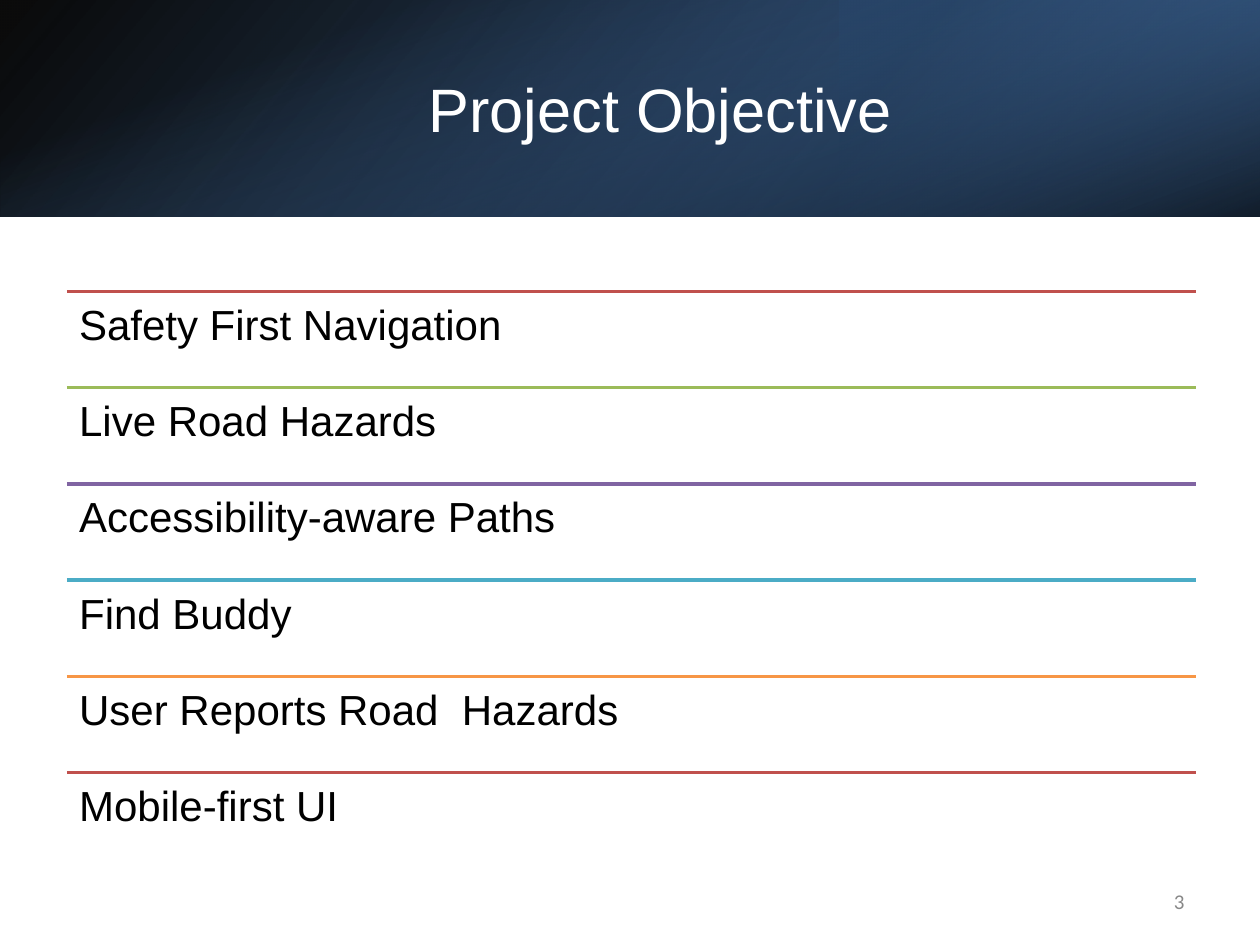
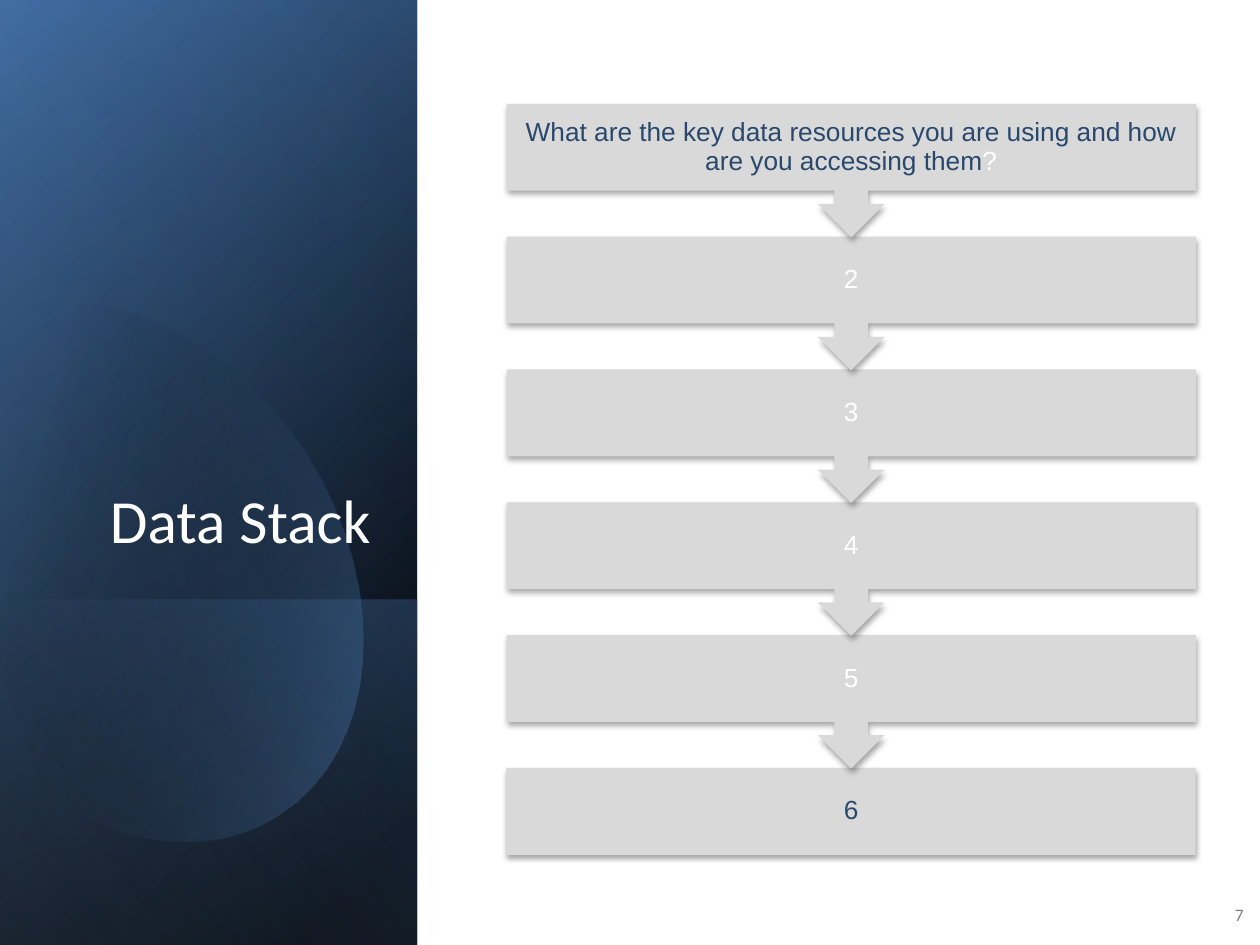
from dataclasses import dataclass
from math import cos, radians, sin

from lxml.etree import SubElement
from pptx import Presentation
from pptx.dml.color import RGBColor as RGB
from pptx.enum.shapes import MSO_CONNECTOR as CONN, MSO_SHAPE as SHAPE
from pptx.enum.text import MSO_ANCHOR as ANCHOR, PP_ALIGN as ALIGN
from pptx.oxml.ns import qn
from pptx.util import Inches, Pt

COLS, ROWS = 100, 75
CELL = Inches(0.1)


@dataclass(frozen=True)
class Theme:
    heading: str = "Arial"
    body: str = "Calibri"
    black: str = "000000"
    white: str = "FFFFFF"
    accent: str = "4F81BD"
    accent_dark: str = "376092"
    accent_deep: str = "254061"
    accent_pale: str = "95B3D7"
    box: str = "D9D9D9"
    navy: str = "29486D"
    rules: tuple = ("C0504D", "9BBB59", "8064A2", "4BACC6", "F79646")
    title_size: int = 35
    item_size: int = 24
    step_size: int = 15


T = Theme()

OBJECTIVES = ("Safety First Navigation", "Live Road Hazards", "Accessibility-aware Paths",
              "Find Buddy", "User Reports Road  Hazards", "Mobile-first UI")

STEPS = (
    (("What are the key data resources you are using and how are you accessing them", T.navy),
     ("?", T.white)),
    *(((str(n), T.white),) for n in range(2, 6)),
    (("6", T.navy),),
)

GLOW_START = (9.6, 11.4)
GLOW_CURVES = (
    ((17.1, 12.2), (24.4, 19.2), (27.3, 29)),
    ((30.7, 41.2), (26.2, 53.1), (17.1, 55.7)),
    ((11.4, 57.4), (5.3, 55), (0.7, 50)),
    ((-0.3, 48.8),) * 3,
    ((-2.5, 16.6),) * 3,
    ((-1.5, 15.4),) * 3,
    ((0.2, 13.7), (2.2, 12.5), (4.5, 11.8)),
    ((6.2, 11.3), (7.9, 11.2), (9.6, 11.4)),
)


def cells(*lengths):
    return [round(n * CELL) for n in lengths]


def paint_gradient(sp, stops, angle):
    sp.shadow.inherit = False
    sp.line.fill.background()
    sp.fill.gradient()
    sp.fill.gradient_angle = (360 - angle) % 360
    for stop, (position, color, _) in zip(sp.fill.gradient_stops, stops):
        stop.color.rgb = RGB.from_string(color)
        stop.position = position / 100
    for clr, (_, _, opacity) in zip(sp._element.spPr.iter(qn("a:srgbClr")), stops):
        SubElement(clr, qn("a:alpha"), val=str(opacity * 1000))


def add_wash(slide, area, stops, angle, turn=0, flip=True):
    x, y, w, h = area
    if turn == 90:
        x, y, w, h = x + (w - h) / 2, y + (h - w) / 2, h, w
    sp = slide.shapes.add_shape(SHAPE.RECTANGLE, *cells(x, y, w, h))
    sp.rotation = turn
    if flip:
        sp._element.spPr.xfrm.set("flipH", "1")
    paint_gradient(sp, stops, angle)


def bezier(p0, p1, p2, p3, count=16):
    for i in range(1, count + 1):
        t = i / count
        u = 1 - t
        yield tuple(u**3 * a + 3 * u * u * t * b + 3 * u * t * t * c + t**3 * d
                    for a, b, c, d in zip(p0, p1, p2, p3))


def add_glow(slide, x, y, w, h, turn, stops, angle):
    outline = [GLOW_START]
    for curve in GLOW_CURVES:
        outline.extend(bezier(outline[-1], *curve))
    c, s = cos(radians(turn)), sin(radians(turn))
    points = []
    for px, py in outline:
        dx, dy = px - w / 2, py - h / 2
        points.append(cells(x + w / 2 + dx * c - dy * s, y + h / 2 + dx * s + dy * c))
    builder = slide.shapes.build_freeform(*points[0])
    builder.add_line_segments(points[1:], close=True)
    paint_gradient(builder.convert_to_shape(), stops, (angle + turn) % 360)


def add_text(slide, area, runs, size, font=T.heading, align=ALIGN.LEFT,
             anchor=ANCHOR.MIDDLE, inset=(1, 0.5), spacing=None, after=None):
    tf = slide.shapes.add_textbox(*cells(*area)).text_frame
    tf.word_wrap = True
    tf.vertical_anchor = anchor
    tf.margin_left = tf.margin_right = cells(inset[0])[0]
    tf.margin_top = tf.margin_bottom = cells(inset[1])[0]
    p = tf.paragraphs[0]
    p.alignment = align
    p.line_spacing = spacing
    p.space_after = after
    for text, color in runs:
        r = p.add_run()
        r.text = text
        r.font.name = font
        r.font.size = Pt(size)
        r.font.color.rgb = RGB.from_string(color)


def add_title(slide, area, text, **style):
    add_text(slide, area, [(text, T.white)], T.title_size, **style)


def add_page_number(slide, area, number, size, color):
    add_text(slide, area, [(number, color)], size, font=T.body, align=ALIGN.RIGHT)


def add_rule(slide, x, y, w, color):
    ln = slide.shapes.add_connector(CONN.STRAIGHT, *cells(x, y, x + w, y))
    ln.line.color.rgb = RGB.from_string(color)
    ln.line.width = Pt(2)
    SubElement(ln._element.spPr, qn("a:effectLst"))


def add_step_box(slide, kind, area, turn=0):
    sp = slide.shapes.add_shape(kind, *cells(*area))
    sp.rotation = turn
    sp.fill.solid()
    sp.fill.fore_color.rgb = RGB.from_string(T.box)
    sp.line.fill.background()
    sp.shadow.inherit = False
    effects = sp._element.spPr.find(qn("a:effectLst"))
    shadow = SubElement(effects, qn("a:outerShdw"), blurRad=str(Pt(3.1)), dist=str(Pt(1.8)),
                        dir=str(90 * 60000), rotWithShape="0")
    clr = SubElement(shadow, qn("a:srgbClr"), val=T.black)
    SubElement(clr, qn("a:alpha"), val="35000")


def objective_slide(slide):
    band = (0, 0, COLS, 17.2)
    add_wash(slide, band, [(0, T.black, 96), (100, T.accent_dark, 100)], 140)
    add_wash(slide, (COLS * 2 / 3, 0, COLS / 3, 17.2),
             [(19, T.accent_deep, 68), (100, T.accent, 79)], 320, turn=180)
    add_wash(slide, band, [(23, T.accent, 0), (99, T.black, 74)], 340, turn=90, flip=False)
    add_title(slide, (11.2, 3.8, 82.4, 9.6), "Project Objective", align=ALIGN.CENTER)

    left, top, width, pitch = 5.3, 23.13, 89.6, 7.64
    for i, objective in enumerate(OBJECTIVES):
        y = top + i * pitch
        add_rule(slide, left, y, width, T.rules[i % len(T.rules)])
        add_text(slide, (left, y, width, pitch), [(objective, T.black)], T.item_size,
                 anchor=ANCHOR.TOP, inset=(1, 1), spacing=0.9, after=Pt(8.4))
    add_page_number(slide, (71.7, 69.5, 23.3, 4), "3", 12, "888888")


def data_stack_slide(slide):
    side = 33.1
    panel = (0, 0, side, ROWS)
    add_wash(slide, panel, [(8, T.black, 100), (100, T.accent_dark, 100)], 50, turn=90)
    add_wash(slide, panel, [(0, T.black, 0), (99, T.accent, 46)], 30, turn=90)
    add_wash(slide, (0, ROWS - 27.4, side, 27.4),
             [(2, T.accent, 29), (100, T.black, 30)], 130, turn=90)
    add_glow(slide, -4.1, 10.6, 32, 45.7, 343.9, [(29, T.black, 0), (100, T.accent, 43)], 30)
    add_wash(slide, panel, [(0, T.black, 0), (99, T.accent_pale, 11)], 120, turn=90)
    add_title(slide, (4.8, 18.4, 25.6, 26.2), "Data Stack", font=T.body,
              align=ALIGN.RIGHT, anchor=ANCHOR.BOTTOM)
    add_page_number(slide, (96, 70.6, 3.7, 4), "7", 10, "808080")

    left, top, width, pitch = 40.2, 8.24, 54.7, 10.54
    body, callout = 6.9, 10.6
    last = len(STEPS) - 1
    for i in range(last, -1, -1):
        y = top + i * pitch
        if i == last:
            add_step_box(slide, SHAPE.RECTANGLE, (left, y, width, body))
        else:
            add_step_box(slide, SHAPE.UP_ARROW_CALLOUT, (left, y, width, callout), turn=180)
        add_text(slide, (left, y, width, body), STEPS[i], T.step_size, align=ALIGN.CENTER,
                 inset=(1.2, 1.2), spacing=0.9, after=Pt(5.25))


def main():
    prs = Presentation()
    prs.slide_width, prs.slide_height = COLS * CELL, ROWS * CELL
    blank = prs.slide_layouts[6]
    for build in (objective_slide, data_stack_slide):
        build(prs.slides.add_slide(blank))
    prs.save("out.pptx")


if __name__ == "__main__":
    main()
